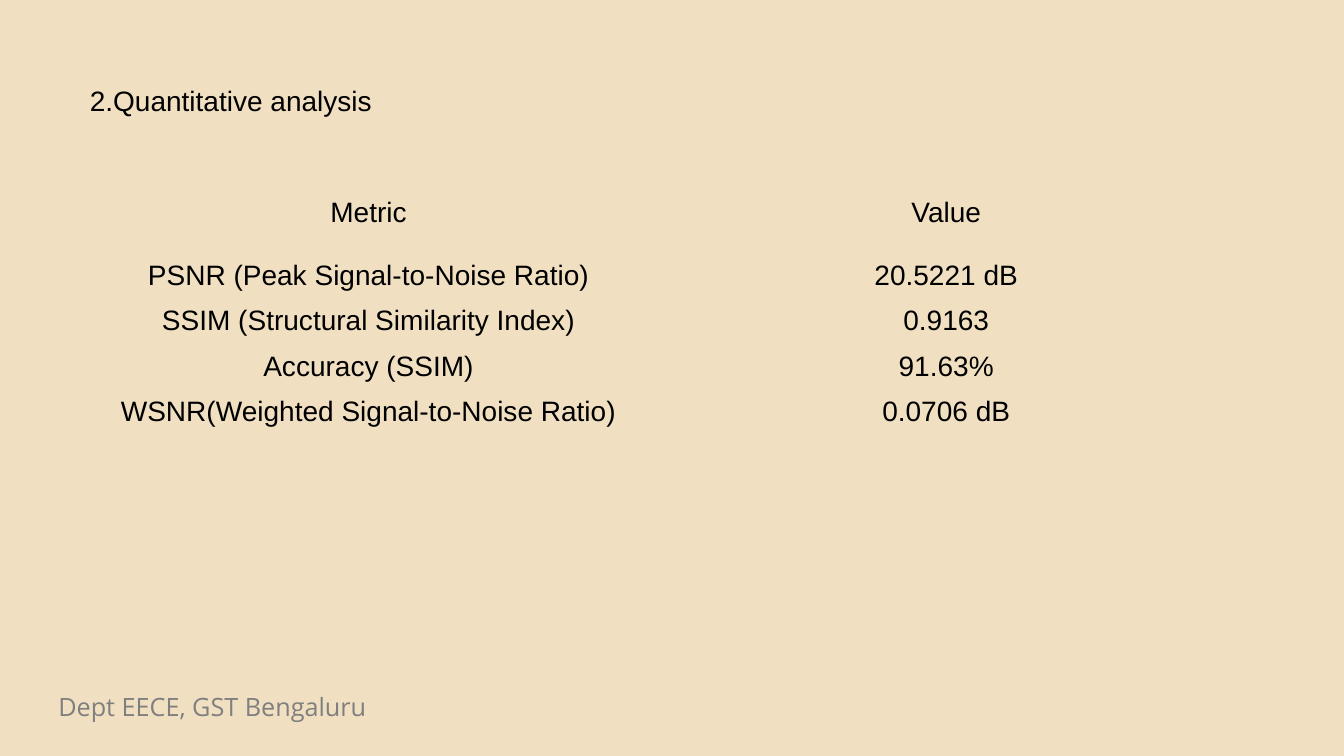
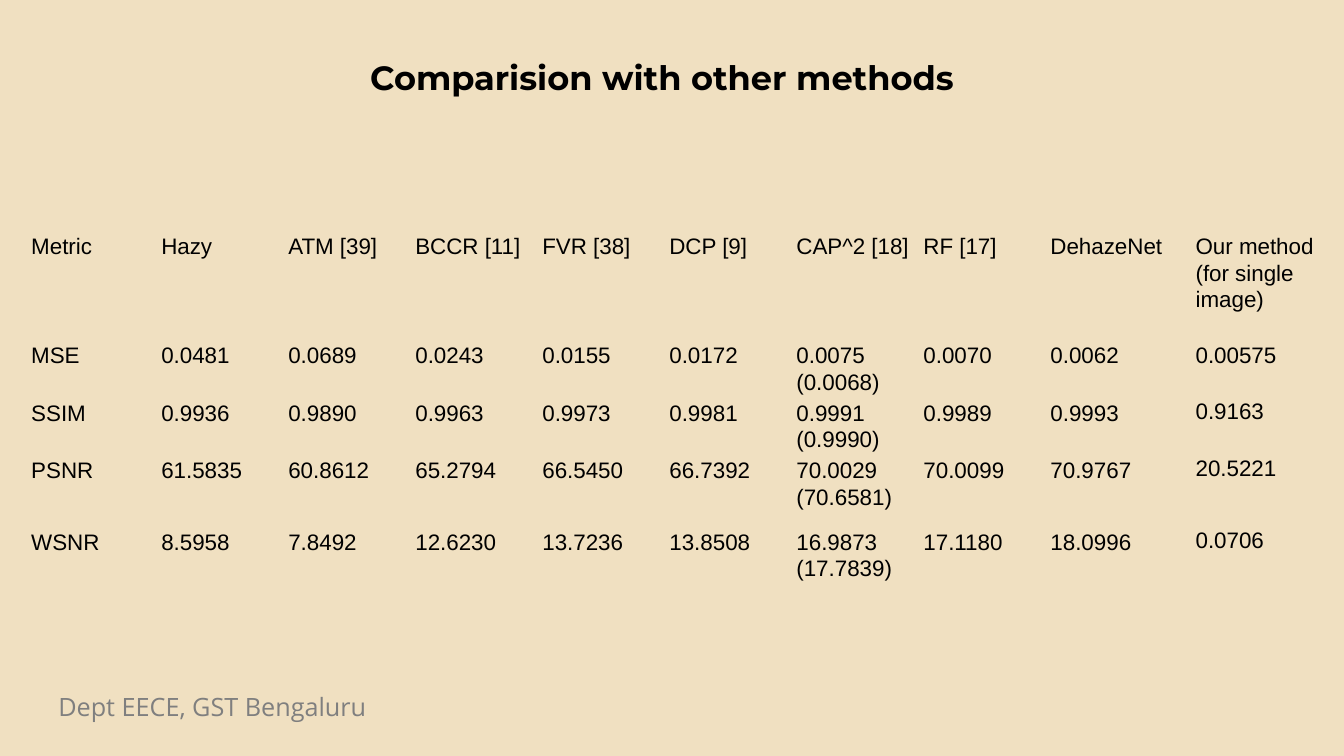
from dataclasses import dataclass

import pptx
import pptx.dml.color
import pptx.enum.text
import pptx.presentation
import pptx.slide
import pptx.text.text
import pptx.util
from pptx.enum.text import MSO_ANCHOR, MSO_AUTO_SIZE, PP_ALIGN
from pptx.util import Inches


@dataclass(frozen=True)
class Theme:
    background: str = "F0E0C1"
    ink: str = "000000"
    muted: str = "7F7F7F"
    body_font: str = "Arial"
    heading_font: str = "Montserrat"
    footer_font: str = "Open Sans"
    heading_size: int = 24
    body_size: int = 20
    footer_size: int = 18
    dense_size: int = 16
    plain_table_style: str = "{2D5ABB26-0587-4C30-8999-92F81FD0307C}"


THEME = Theme()


@dataclass(frozen=True)
class Box:
    left: float
    top: float
    width: float
    height: float

    def lengths(self) -> tuple[int, int, int, int]:
        return Inches(self.left), Inches(self.top), Inches(self.width), Inches(self.height)


@dataclass(frozen=True)
class Title:
    text: str
    box: Box
    font: str = THEME.body_font
    size: int = THEME.body_size
    bold: bool = False


@dataclass(frozen=True)
class Grid:
    left: float
    top: float
    columns: list[float]
    rows: list[float]
    cells: list[list[str]]
    size: int
    align: PP_ALIGN = PP_ALIGN.LEFT
    line_spacing: float = 1.0
    single_spaced: frozenset[str] = frozenset()


FOOTER_BOX = Box(0.48, 6.81, 5.24, 0.4)

METRICS_TITLE = Title("2.Quantitative analysis", Box(0.79, 0.78, 5.41, 0.44))
METRICS = Grid(
    left=0.79,
    top=1.96,
    columns=[5.73] * 2,
    rows=[0.62] + [0.45] * 4,
    cells=[
        ["Metric", "Value"],
        ["PSNR (Peak Signal-to-Noise Ratio)", "20.5221 dB"],
        ["SSIM (Structural Similarity Index)", "0.9163"],
        ["Accuracy (SSIM)", "91.63%"],
        ["WSNR(Weighted Signal-to-Noise Ratio)", "0.0706 dB"],
    ],
    size=THEME.body_size,
    align=PP_ALIGN.CENTER,
)

COMPARISON_TITLE = Title(
    "Comparision with other methods",
    Box(3.57, 0.51, 7.59, 0.5),
    font=THEME.heading_font,
    size=THEME.heading_size,
    bold=True,
)
COMPARISON = Grid(
    left=0.24,
    top=2.31,
    columns=[1.29] + [1.26] * 7 + [1.44, 1.41],
    rows=[1.08, 0.57, 0.57, 0.71, 0.68],
    cells=[
        ["Metric", "Hazy", "ATM [39]", "BCCR [11]", "FVR [38]", "DCP [9]",
         "CAP^2 [18]", "RF [17]", "DehazeNet", "Our method\n(for single image)"],
        ["MSE", "0.0481", "0.0689", "0.0243", "0.0155", "0.0172",
         "0.0075 (0.0068)", "0.0070", "0.0062", "0.00575"],
        ["SSIM", "0.9936", "0.9890", "0.9963", "0.9973", "0.9981",
         "0.9991 (0.9990)", "0.9989", "0.9993", "0.9163"],
        ["PSNR", "61.5835", "60.8612", "65.2794", "66.5450", "66.7392",
         "70.0029 (70.6581)", "70.0099", "70.9767", "20.5221"],
        ["WSNR", "8.5958", "7.8492", "12.6230", "13.7236", "13.8508",
         "16.9873 (17.7839)", "17.1180", "18.0996", "0.0706"],
    ],
    size=THEME.dense_size,
    line_spacing=1.07,
    single_spaced=frozenset({"0.9163", "20.5221", "0.0706"}),
)


def write_text(
    frame: pptx.text.text.TextFrame,
    text: str,
    *,
    size: int,
    font: str = THEME.body_font,
    color: str = THEME.ink,
    bold: bool = False,
    align: PP_ALIGN = PP_ALIGN.LEFT,
    line_spacing: float = 1.0,
) -> None:
    frame.word_wrap = True
    frame.text = text
    for paragraph in frame.paragraphs:
        paragraph.alignment = align
        paragraph.line_spacing = line_spacing
        paragraph.font.name = font
        paragraph.font.size = pptx.util.Pt(size)
        paragraph.font.bold = bold
        paragraph.font.color.rgb = pptx.dml.color.RGBColor.from_string(color)


def add_title(slide: pptx.slide.Slide, title: Title) -> None:
    shape = slide.shapes.title
    shape.left, shape.top, shape.width, shape.height = title.box.lengths()
    frame = shape.text_frame
    write_text(frame, title.text, size=title.size, font=title.font, bold=title.bold)
    frame.vertical_anchor = MSO_ANCHOR.TOP
    frame.auto_size = MSO_AUTO_SIZE.SHAPE_TO_FIT_TEXT


def add_grid(slide: pptx.slide.Slide, grid: Grid) -> None:
    box = Box(grid.left, grid.top, sum(grid.columns), sum(grid.rows))
    graphic = slide.shapes.add_table(len(grid.rows), len(grid.columns), *box.lengths())
    graphic.element.xpath(".//a:tableStyleId")[0].text = THEME.plain_table_style
    table = graphic.table
    table.first_row = table.horz_banding = False
    for column, width in zip(table.columns, grid.columns):
        column.width = Inches(width)
    for row, height, texts in zip(table.rows, grid.rows, grid.cells):
        row.height = Inches(height)
        for cell, text in zip(row.cells, texts):
            cell.fill.background()
            cell.margin_left = cell.margin_right = Inches(0.07)
            cell.margin_top = cell.margin_bottom = 0
            spacing = 1.0 if text in grid.single_spaced else grid.line_spacing
            write_text(cell.text_frame, text, size=grid.size, align=grid.align,
                       line_spacing=spacing)


def move_footer_to_layout(slide: pptx.slide.Slide) -> None:
    """Build the footer on a slide, then hand it to the layout all slides share."""
    footer = slide.shapes.add_textbox(*FOOTER_BOX.lengths())
    write_text(footer.text_frame, "Dept EECE, GST Bengaluru", size=THEME.footer_size,
               font=THEME.footer_font, color=THEME.muted)
    footer.text_frame.auto_size = MSO_AUTO_SIZE.SHAPE_TO_FIT_TEXT
    slide.slide_layout.shapes.element.append(footer.element)


def main() -> None:
    presentation = pptx.Presentation()
    presentation.slide_width, presentation.slide_height = Inches(13.33), Inches(7.5)
    fill = presentation.slide_master.background.fill
    fill.solid()
    fill.fore_color.rgb = pptx.dml.color.RGBColor.from_string(THEME.background)
    layout = presentation.slide_layouts.get_by_name("Title Only")

    for title, grid in ((METRICS_TITLE, METRICS), (COMPARISON_TITLE, COMPARISON)):
        slide = presentation.slides.add_slide(layout)
        add_grid(slide, grid)
        add_title(slide, title)
    move_footer_to_layout(presentation.slides[0])

    presentation.save("out.pptx")


if __name__ == "__main__":
    main()
